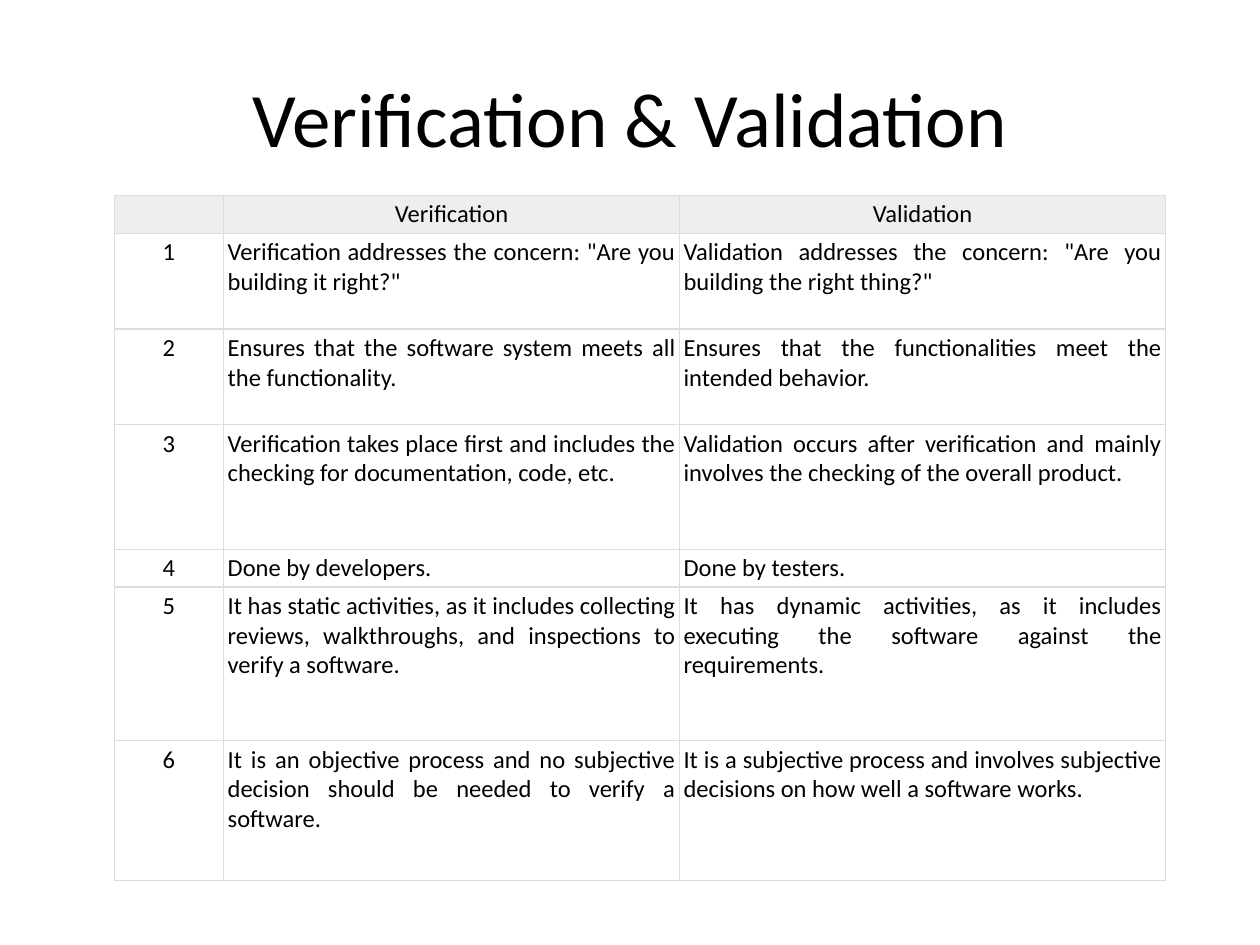
"""Build a slide with a table comparing verification and validation."""
from lxml.etree import SubElement
from pptx import Presentation
from pptx.dml.color import RGBColor
from pptx.enum.text import MSO_ANCHOR, PP_ALIGN
from pptx.oxml.ns import qn
from pptx.util import Cm, Pt

BLACK = RGBColor(0x00, 0x00, 0x00)
GREY = RGBColor(0xEE, 0xEE, 0xEE)
LINE = RGBColor(0xDD, 0xDD, 0xDD)


def write(frame, text, size=14, align=PP_ALIGN.CENTER):
    para = frame.paragraphs[0]
    para.alignment = align
    if not text:
        SubElement(para._p, qn("a:endParaRPr"), sz=str(size * 100))
        return
    run = para.add_run()
    run.text = text
    run.font.size = Pt(size)
    run.font.name = "Calibri"
    run.font.color.rgb = BLACK


def frame_cell(cell):
    props = cell._tc.get_or_add_tcPr()
    for side in ("lnL", "lnR", "lnT", "lnB"):
        edge = SubElement(props, qn(f"a:{side}"), w=str(Pt(0.75)))
        fill = SubElement(edge, qn("a:solidFill"))
        SubElement(fill, qn("a:srgbClr"), val=str(LINE))


deck = Presentation()
deck.slide_width, deck.slide_height = Cm(25.4), Cm(19.05)
slide = deck.slides.add_slide(deck.slide_layouts[5])

title = slide.shapes.title
title.left, title.top = Cm(1.27), Cm(0.76)
title.width, title.height = Cm(22.86), Cm(3.18)
title.text_frame.vertical_anchor = MSO_ANCHOR.MIDDLE
write(title.text_frame, "Verification & Validation", size=44)

rows = [
    ("", "Verification", "Validation"),
    ("1", 'Verification addresses the concern: "Are you building it right?"',
     'Validation addresses the concern: "Are you building the right thing?"'),
    ("2", "Ensures that the software system meets all the functionality.",
     "Ensures that the functionalities meet the intended behavior."),
    ("3", "Verification takes place first and includes the checking for documentation, code, etc.",
     "Validation occurs after verification and mainly involves the checking of the overall product."),
    ("4", "Done by developers.", "Done by testers."),
    ("5", "It has static activities, as it includes collecting reviews, walkthroughs, "
     "and inspections to verify a software.",
     "It has dynamic activities, as it includes executing the software against the requirements."),
    ("6", "It is an objective process and no subjective decision should be needed to verify a software.",
     "It is a subjective process and involves subjective decisions on how well a software works."),
]
widths = [2.21, 9.19, 9.8]
heights = [0.75, 1.93, 1.93, 2.51, 0.76, 3.1, 2.82]

table = slide.shapes.add_table(
    len(rows), len(widths), Cm(2.3), Cm(3.94), Cm(sum(widths)), Cm(sum(heights))
).table
for col, width in zip(table.columns, widths):
    col.width = Cm(width)
for row, height in zip(table.rows, heights):
    row.height = Cm(height)

for r, texts in enumerate(rows):
    for c, text in enumerate(texts):
        cell = table.cell(r, c)
        cell.margin_left = cell.margin_right = Cm(0.08)
        cell.margin_top = cell.margin_bottom = Cm(0.08)
        frame_cell(cell)
        if r == 0:
            cell.fill.solid()
            cell.fill.fore_color.rgb = GREY
        else:
            cell.fill.background()
        body = r > 0 and c > 0
        write(cell.text_frame, text, align=PP_ALIGN.JUSTIFY if body else PP_ALIGN.CENTER)

deck.save("out.pptx")
